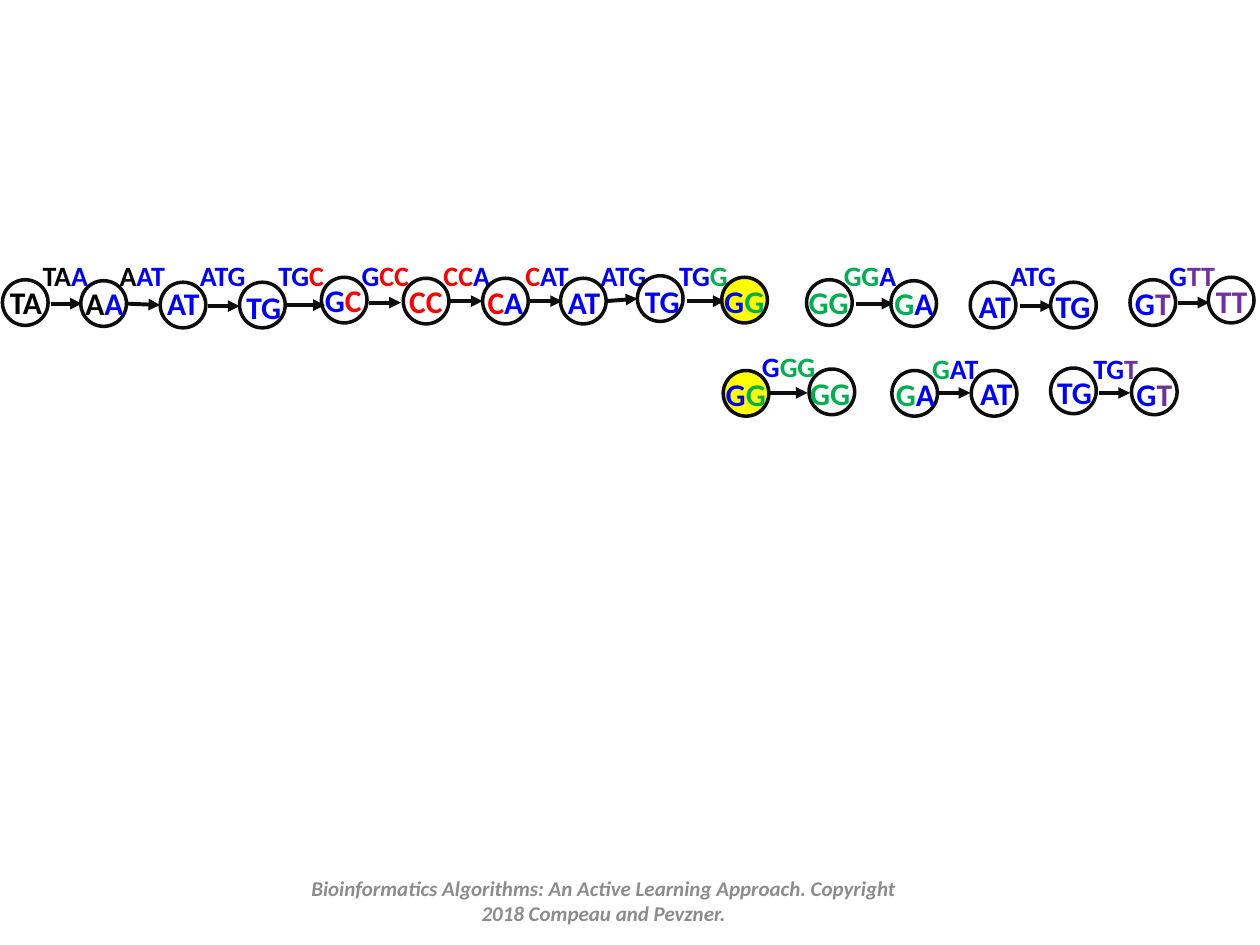
from pptx import Presentation
from pptx.dml.color import RGBColor
from pptx.enum.shapes import MSO_CONNECTOR, MSO_SHAPE
from pptx.enum.text import MSO_ANCHOR, MSO_AUTO_SIZE, PP_ALIGN
from pptx.oxml.ns import qn
from pptx.util import Cm, Pt
from lxml import etree
from itertools import groupby

STRAIGHT = MSO_CONNECTOR.STRAIGHT
OVAL = MSO_SHAPE.OVAL
MIDDLE = MSO_ANCHOR.MIDDLE
GROW = MSO_AUTO_SIZE.SHAPE_TO_FIT_TEXT
CENTER = PP_ALIGN.CENTER

HUES = {"k": "000000", "b": "0000FF", "r": "FF0000", "g": "00B050",
        "p": "7030A0", "line": "0D0D0D", "mark": "FFFF00", "foot": "8C8C8C"}
GENOME = "TAATGCCATGGGATGTT"
TINTS = "kkbbbrrbbbggbbbpp"
WIDTHS = {"A": 0.39, "C": 0.34, "G": 0.41, "T": 0.32}
SHARED = 9
FOOTER = ("Bioinformatics Algorithms: An Active Learning Approach. "
          "Copyright 2018 Compeau and Pevzner.")

# start in genome, circle left and top, label left and top
NODES = [
    (0, 0.05, 5.64, -0.05, 5.59), (1, 1.63, 5.66, 1.47, 5.61),
    (2, 3.23, 5.69, 3.12, 5.61), (3, 4.83, 5.69, 4.72, 5.69),
    (4, 6.48, 5.59, 6.3, 5.54), (5, 8.13, 5.61, 8, 5.56),
    (6, 9.73, 5.61, 9.58, 5.59), (7, 11.3, 5.61, 11.2, 5.59),
    (8, 12.85, 5.56, 12.75, 5.56), (9, 14.55, 5.59, 14.35, 5.56),
    (9, 14.58, 7.47, 14.38, 7.44), (10, 16.31, 7.44, 16.08, 7.42),
    (10, 16.26, 5.64, 16.05, 5.59), (11, 17.96, 5.66, 17.78, 5.61),
    (11, 17.98, 7.47, 17.81, 7.44), (12, 19.58, 7.47, 19.51, 7.42),
    (12, 19.56, 5.69, 19.48, 5.66), (13, 21.18, 5.69, 21.03, 5.66),
    (13, 21.18, 7.42, 21.06, 7.39), (14, 22.81, 7.44, 22.66, 7.44),
    (14, 22.78, 5.64, 22.63, 5.61), (15, 24.36, 5.59, 24.26, 5.56),
]
# label left and top, arrow from x, y to x, y
EDGES = [
    (0.61, 5.08, 1.02, 6.12, 1.65, 6.12), (2.16, 5.08, 2.54, 6.12, 3.23, 6.15),
    (3.78, 5.08, 4.19, 6.17, 4.83, 6.17), (5.36, 5.08, 5.74, 6.15, 6.55, 6.15),
    (7.04, 5.08, 7.44, 6.1, 8.08, 6.1), (8.69, 5.08, 9.04, 6.07, 9.73, 6.07),
    (10.34, 5.08, 10.69, 6.07, 11.33, 6.07),
    (11.86, 5.08, 12.22, 6.07, 12.85, 6.02),
    (13.44, 5.08, 13.84, 6.07, 14.61, 6.07),
    (15.11, 6.93, 15.52, 7.92, 16.28, 7.92),
    (16.76, 5.08, 17.25, 6.12, 18.01, 6.12),
    (18.54, 6.96, 18.92, 7.92, 19.56, 7.92),
    (20.12, 5.08, 20.57, 6.17, 21.21, 6.17),
    (21.79, 6.96, 22.15, 7.92, 22.78, 7.92),
    (23.32, 5.08, 23.75, 6.1, 24.38, 6.1),
]


class Board:
    """Hold the style and the current slide, and draw each kind of element."""

    def __init__(self, slide, font="Calibri"):
        self.slide = slide
        self.font = font

    def hue(self, name):
        return RGBColor.from_string(HUES[name])

    def run(self, para, text, size, tint, slant=None):
        run = para.add_run()
        run.text = text
        font = run.font
        font.name, font.size = self.font, Pt(size)
        font.bold, font.italic = True, slant
        font.color.rgb = self.hue(tint)

    def label(self, start, count, left, top, size):
        pairs = list(zip(GENOME, TINTS))[start:start + count]
        width = 0.51 + sum(WIDTHS[base] for base, _ in pairs) * size / 18
        box = self.slide.shapes.add_textbox(
            Cm(left), Cm(top), Cm(width), Cm(1.02 if size == 18 else 0.94))
        frame = box.text_frame
        frame.word_wrap = False
        frame.auto_size = GROW
        for tint, group in groupby(pairs, key=lambda pair: pair[1]):
            text = "".join(base for base, _ in group)
            self.run(frame.paragraphs[0], text, size, tint)

    def node(self, start, left, top, x, y):
        ring = self.slide.shapes.add_shape(
            OVAL, Cm(left), Cm(top), Cm(0.92), Cm(0.92))
        ring.shadow.inherit = False
        if start == SHARED:
            ring.fill.solid()
            ring.fill.fore_color.rgb = self.hue("mark")
        else:
            ring.fill.background()
        ring.line.color.rgb = self.hue("line")
        ring.line.width = Pt(2)
        self.label(start, 2, x, y, 18)

    def edge(self, start, left, top, *ends):
        arrow = self.slide.shapes.add_connector(
            STRAIGHT, *(Cm(end) for end in ends))
        arrow.line.color.rgb = self.hue("line")
        arrow.line.width = Pt(2.25)
        etree.SubElement(arrow.line._get_or_add_ln(), qn("a:tailEnd"),
                         type="triangle")
        etree.SubElement(arrow._element.spPr, qn("a:effectLst"))
        self.label(start, 3, left, top, 16)

    def footer(self, text):
        box = self.slide.shapes.add_textbox(
            Cm(5.72), Cm(17.65), Cm(12.9), Cm(1.02))
        frame = box.text_frame
        frame.word_wrap = True
        frame.vertical_anchor = MIDDLE
        para = frame.paragraphs[0]
        para.alignment = CENTER
        self.run(para, text, 12, "foot", True)


def main():
    deck = Presentation()
    deck.slide_width, deck.slide_height = Cm(25.4), Cm(19.05)
    board = Board(deck.slides.add_slide(deck.slide_layouts[6]))
    for start, edge in enumerate(EDGES):
        board.edge(start, *edge)
    for node in NODES:
        board.node(*node)
    board.footer(FOOTER)
    deck.save("out.pptx")


if __name__ == "__main__":
    main()
